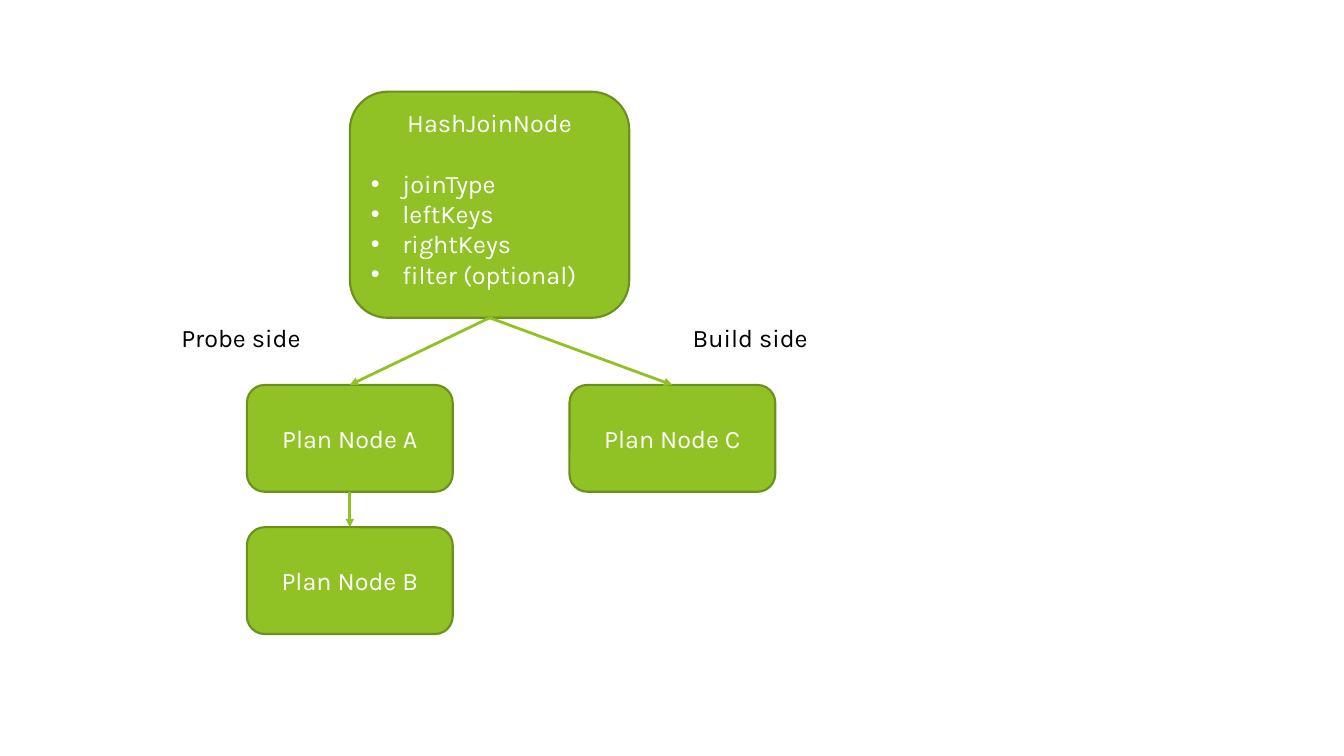
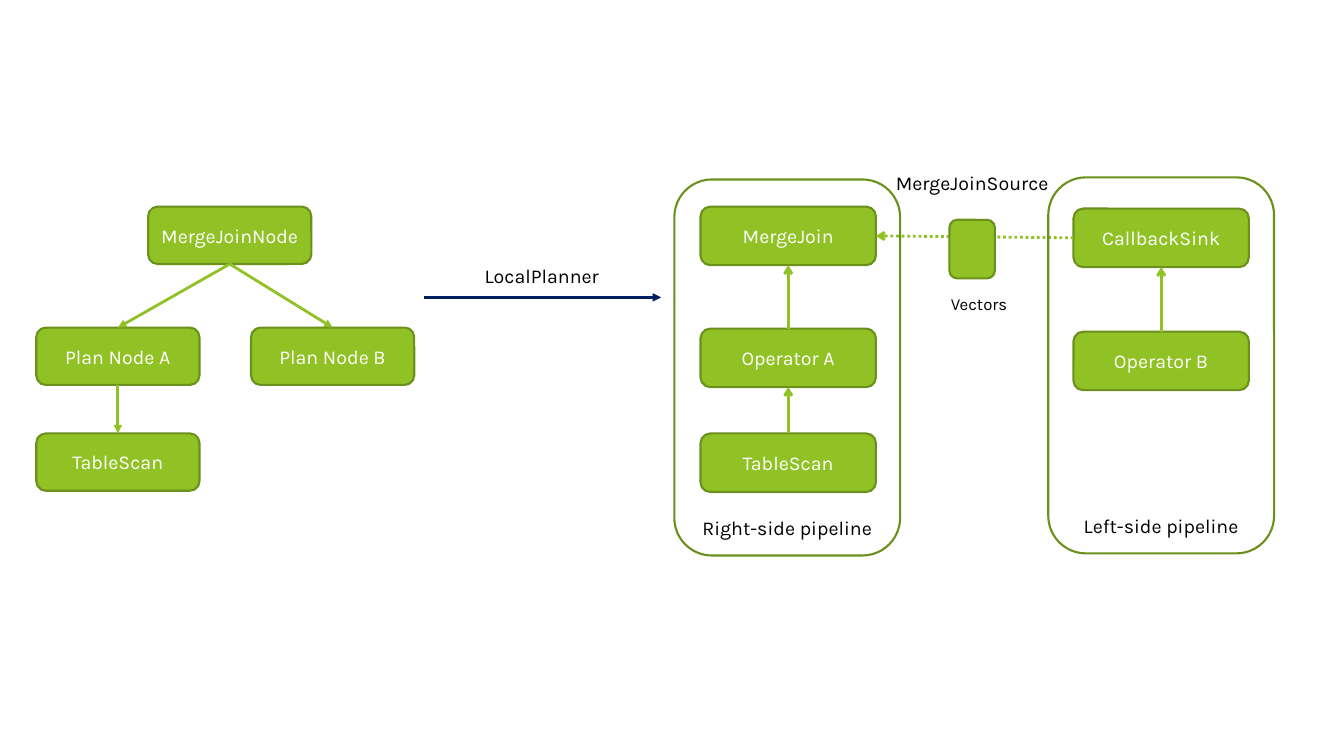
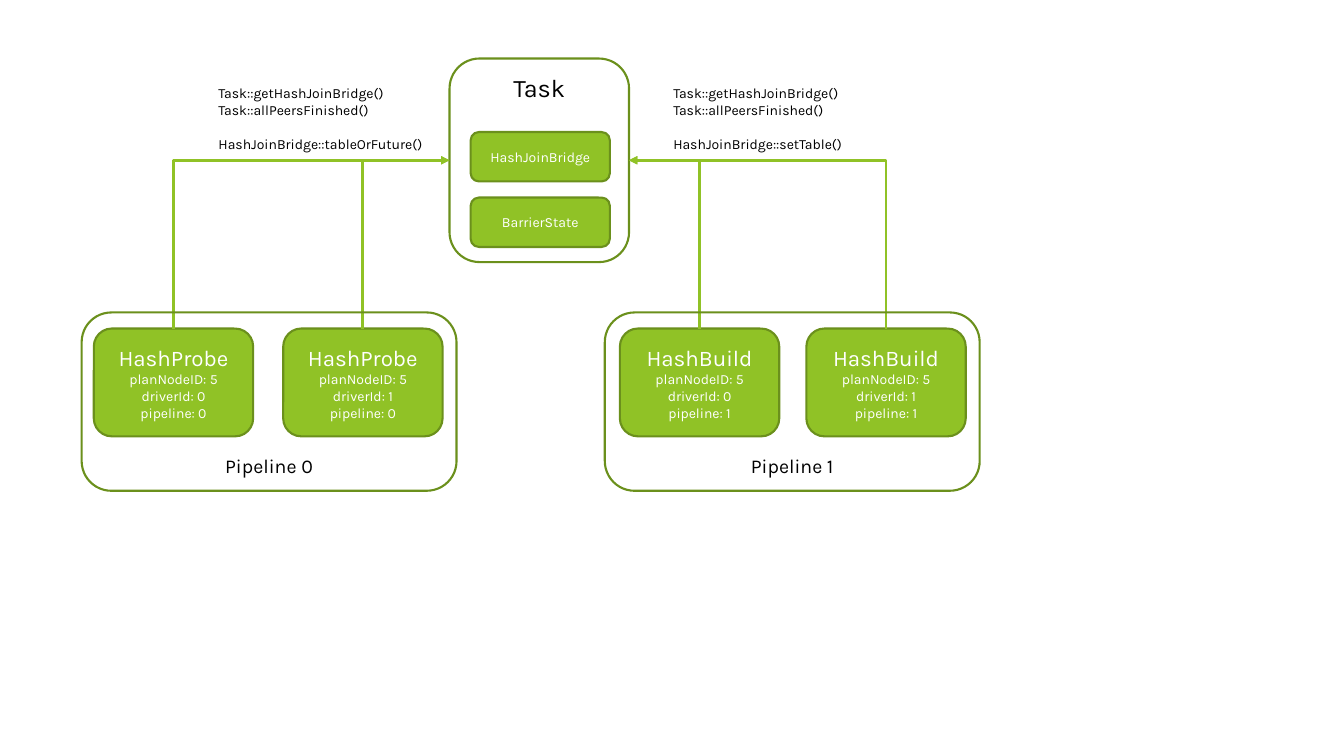
from dataclasses import dataclass

from lxml.etree import SubElement
from pptx import Presentation
from pptx.dml.color import RGBColor
from pptx.enum.dml import MSO_LINE_DASH_STYLE as Dash, MSO_PATTERN_TYPE as Pattern
from pptx.enum.shapes import MSO_CONNECTOR_TYPE as Link, MSO_SHAPE as Shape
from pptx.enum.text import MSO_ANCHOR as Anchor, MSO_AUTO_SIZE as AutoSize, PP_ALIGN as Align
from pptx.oxml.ns import qn
from pptx.util import Pt

TOP, LEFT, BOTTOM, RIGHT = range(4)
BLANK_LAYOUT = 6


@dataclass(frozen=True)
class Theme:
    font: str = "Karla"
    green: RGBColor = RGBColor(0x90, 0xC2, 0x26)
    dark_green: RGBColor = RGBColor(0x6B, 0x90, 0x1C)
    navy: RGBColor = RGBColor(0x00, 0x20, 0x60)
    white: RGBColor = RGBColor(0xFF, 0xFF, 0xFF)
    black: RGBColor = RGBColor(0x00, 0x00, 0x00)
    large: int = 18
    heading: int = 16
    medium: int = 14
    small: int = 12
    tiny: int = 10
    border: float = 1.5
    arrow: float = 2
    leading: float = 1.2
    indent: float = 22.5


@dataclass(frozen=True)
class Line:
    text: str
    size: int
    gap: bool = False
    bullet: bool = False


class Diagram:
    def __init__(self, theme):
        self.theme = theme
        self.deck = Presentation()
        self.deck.slide_width, self.deck.slide_height = Pt(960), Pt(540)
        self.page = None

    def new_page(self):
        self.page = self.deck.slides.add_slide(self.deck.slide_layouts[BLANK_LAYOUT])

    def set_text(self, box, lines, color, align, anchor):
        frame = box.text_frame
        frame.word_wrap = True
        frame.vertical_anchor = anchor
        for index, line in enumerate(lines):
            para = frame.add_paragraph() if index else frame.paragraphs[0]
            para.text = line.text
            para.alignment = Align.LEFT if line.bullet else align
            if line.bullet:
                self.add_bullet(para)
            if line.gap:
                para.space_before = Pt(line.size * self.theme.leading)
            para.font.name = self.theme.font
            para.font.size = Pt(line.size)
            para.font.color.rgb = color

    def add_bullet(self, para):
        properties = para._p.get_or_add_pPr()
        properties.set("marL", str(Pt(self.theme.indent)))
        properties.set("indent", str(-Pt(self.theme.indent)))
        SubElement(properties, qn("a:buFont")).set("typeface", "Arial")
        SubElement(properties, qn("a:buChar")).set("char", "•")

    def outline(self, left, top, width, height):
        box = self.page.shapes.add_shape(
            Shape.ROUNDED_RECTANGLE, Pt(left), Pt(top), Pt(width), Pt(height))
        box.shadow.inherit = False
        box.line.color.rgb = self.theme.dark_green
        box.line.width = Pt(self.theme.border)
        return box

    def node(self, place, *lines, anchor=Anchor.MIDDLE):
        box = self.outline(*place)
        box.fill.solid()
        box.fill.fore_color.rgb = self.theme.green
        self.set_text(box, lines, self.theme.white, Align.CENTER, anchor)
        return box

    def group_frame(self, place, line, anchor=Anchor.BOTTOM):
        box = self.outline(*place)
        box.fill.background()
        self.set_text(box, [line], self.theme.black, Align.CENTER, anchor)
        return box

    def striped_box(self, place):
        fill = self.outline(*place).fill
        fill.patterned()
        fill.pattern = Pattern.DARK_HORIZONTAL
        fill.fore_color.rgb = self.theme.green
        fill.back_color.rgb = self.theme.white

    def label(self, place, *lines, align=Align.CENTER):
        box = self.page.shapes.add_textbox(*map(Pt, place))
        self.set_text(box, lines, self.theme.black, align, Anchor.TOP)
        box.text_frame.auto_size = AutoSize.SHAPE_TO_FIT_TEXT

    def connector(self, kind, color, end, head, ends=(0, 0, 0, 0)):
        link = self.page.shapes.add_connector(kind, *map(Pt, ends))
        link.line.color.rgb = color
        link.line.width = Pt(self.theme.arrow)
        properties = link._element.spPr
        SubElement(properties.find(qn("a:ln")), qn(f"a:{end}")).set("type", head)
        SubElement(properties, qn("a:effectLst"))
        return link

    def arrow(self, source, source_side, target, target_side, head="triangle"):
        link = self.connector(Link.STRAIGHT, self.theme.green, "tailEnd", head)
        link.begin_connect(source, source_side)
        link.end_connect(target, target_side)
        return link

    def free_arrow(self, *ends):
        self.connector(Link.STRAIGHT, self.theme.navy, "tailEnd", "triangle", ends)

    def elbow(self, target, target_side, source):
        link = self.connector(Link.ELBOW, self.theme.green, "headEnd", "triangle")
        link._element.spPr.find(qn("a:prstGeom")).set("prst", "bentConnector2")
        link.begin_connect(target, target_side)
        link.end_connect(source, TOP)


def hash_join_plan(diagram):
    diagram.new_page()
    size = diagram.theme.large
    fields = ["joinType", "leftKeys", "rightKeys", "filter (optional)"]
    join = diagram.node(
        (250, 65.5, 199.5, 161.5),
        Line("HashJoinNode", size),
        *[Line(field, size, gap=not index, bullet=True) for index, field in enumerate(fields)],
        anchor=Anchor.TOP)
    node_a, node_b, node_c = [
        diagram.node((left, top, 147, 76.3), Line(f"Plan Node {letter}", size))
        for letter, left, top in [("A", 176.4, 275), ("B", 176.4, 376.6), ("C", 406.8, 275)]]
    diagram.arrow(join, BOTTOM, node_a, TOP)
    diagram.arrow(join, BOTTOM, node_c, TOP)
    diagram.arrow(node_a, BOTTOM, node_b, TOP)
    diagram.label((122.4, 226.8, 121, 29), Line("Probe side", size), align=Align.LEFT)
    diagram.label((463, 226.8, 121, 29), Line("Build side", size), align=Align.RIGHT)


def merge_join_pipelines(diagram):
    diagram.new_page()
    size = diagram.theme.medium

    def plan_node(text, left, top):
        return diagram.node((left, top, 116.6, 41), Line(text, size))

    def operator(text, left, top):
        return diagram.node((left, top, 125.3, 41.8), Line(text, size))

    join_node = plan_node("MergeJoinNode", 105.8, 147.6)
    node_a = plan_node("Plan Node A", 25.9, 234)
    node_b = plan_node("Plan Node B", 179.3, 234)
    scan_node = plan_node("TableScan", 25.9, 309.6)
    diagram.arrow(join_node, BOTTOM, node_a, TOP)
    diagram.arrow(join_node, BOTTOM, node_b, TOP)
    diagram.arrow(node_a, BOTTOM, scan_node, TOP)

    join = operator("MergeJoin", 500.4, 147.6)
    operator_a = operator("Operator A", 500.4, 234.7)
    scan = operator("TableScan", 500.4, 309.6)
    sink = operator("CallbackSink", 766.8, 149)
    operator_b = operator("Operator B", 766.8, 236.9)
    for lower, upper in [(scan, operator_a), (operator_a, join), (operator_b, sink)]:
        diagram.arrow(lower, TOP, upper, BOTTOM, "arrow")
    diagram.arrow(sink, LEFT, join, RIGHT, "arrow").line.dash_style = Dash.ROUND_DOT

    for text, left, top in [("Right", 481.7, 128.2), ("Left", 748.8, 126.7)]:
        diagram.group_frame((left, top, 161.3, 268.6), Line(f"{text}-side pipeline", size))
    diagram.striped_box((678.2, 157, 32.4, 41.8))
    diagram.label((632.2, 118.8, 124.6, 24.5), Line("MergeJoinSource", size))
    diagram.label((663, 206, 72.7, 21.6), Line("Vectors", diagram.theme.small))
    diagram.free_arrow(303.1, 212.4, 472.3, 212.4)
    diagram.label((324.7, 185, 124.6, 24.5), Line("LocalPlanner", size))


def hash_join_task(diagram):
    diagram.new_page()
    theme = diagram.theme
    task = diagram.group_frame(
        (321.1, 41.8, 128.2, 145.4), Line("Task", theme.large), Anchor.TOP)
    for text, top in [("HashJoinBridge", 94.3), ("BarrierState", 141.1)]:
        diagram.node((336.2, top, 99.4, 35.3), Line(text, theme.tiny))

    pipelines = [
        ("HashProbe", (67, 202.3), 58.3, LEFT, "tableOrFuture", 149, 197.3),
        ("HashBuild", (442.8, 576), 432, RIGHT, "setTable", 473.8, 205.2),
    ]
    for number, (name, lefts, frame_left, side, call, call_left, call_width) in enumerate(pipelines):
        for driver, left in enumerate(lefts):
            details = ["planNodeID: 5", f"driverId: {driver}", f"pipeline: {number}"]
            worker = diagram.node(
                (left, 234.7, 113.8, 77),
                Line(name, theme.heading),
                *[Line(detail, theme.tiny) for detail in details])
            diagram.elbow(task, side, worker)
        diagram.group_frame(
            (frame_left, 223.2, 267.8, 127.4), Line(f"Pipeline {number}", theme.medium))
        diagram.label(
            (call_left, 56.9, call_width, 55.4),
            Line("Task::getHashJoinBridge()", theme.tiny),
            Line("Task::allPeersFinished()", theme.tiny),
            Line(f"HashJoinBridge::{call}()", theme.tiny, gap=True),
            align=Align.LEFT)


def main():
    diagram = Diagram(Theme())
    hash_join_plan(diagram)
    merge_join_pipelines(diagram)
    hash_join_task(diagram)
    diagram.deck.save("out.pptx")


if __name__ == "__main__":
    main()
